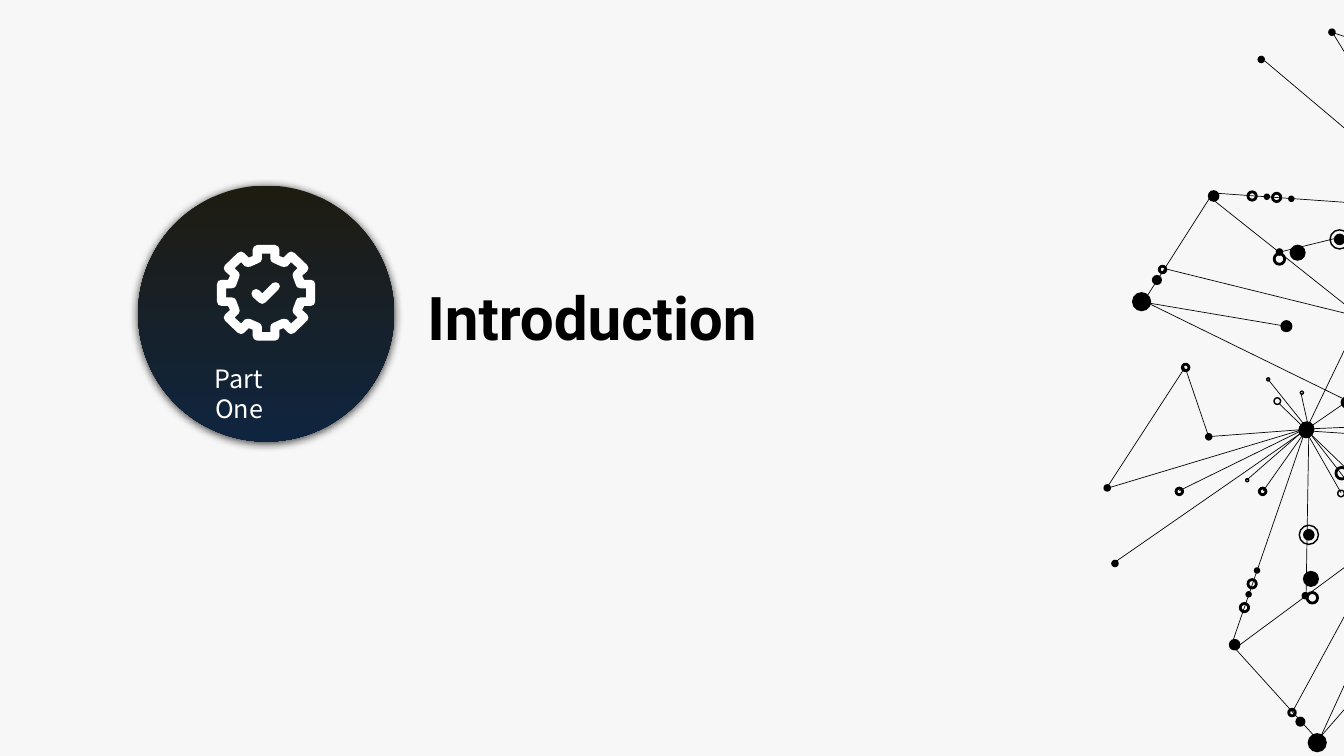
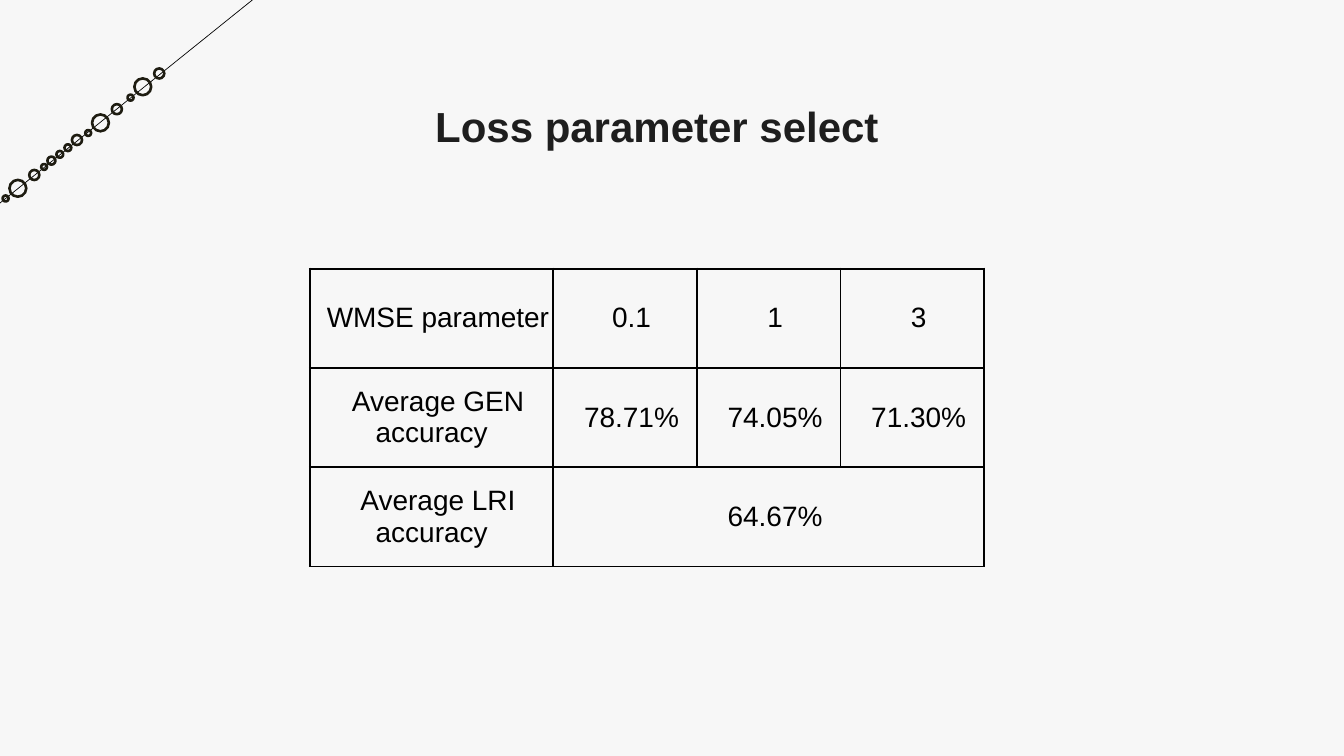
from lxml import etree
from pptx import Presentation
from pptx.dml.color import RGBColor
from pptx.enum.shapes import MSO_CONNECTOR as Connector, MSO_SHAPE as Shape
from pptx.enum.text import MSO_ANCHOR as Anchor, MSO_AUTO_SIZE as AutoSize, PP_ALIGN as Align
from pptx.oxml.ns import qn
from pptx.util import Pt

WIDTH, HEIGHT = 1920.24, 1080
BACKDROP, BLACK, WHITE = "F7F7F7", "000000", "FFFFFF"
INK, NAVY, TITLE = "1E1C11", "0F253F", "1E1E1E"

EDGES = [
    (209, 923, 424, 764), (313, 621, 424, 764), (164, 624, 310, 613),
    (245, 701, 303, 619), (36, 801, 310, 611), (125, 701, 300, 615),
    (17, 699, 310, 611), (306, 854, 310, 616), (397, 609, 303, 613),
    (201, 917, 307, 609), (168, 627, 134, 527), (133, 525, 20, 699),
    (320, 1054, 198, 919), (287, 1016, 421, 770), (308, 603, 299, 563),
    (303, 606, 251, 541), (408, 876, 323, 1061), (532, 817, 315, 1066),
    (448, 516, 313, 609), (510, 629, 315, 616), (221, 686, 298, 619),
    (356, 704, 303, 611), (478, 780, 268, 577), (174, 286, 383, 452),
    (383, 454, 305, 616), (247, 87, 502, 302), (341, 42, 501, 302),
    (265, 361, 497, 304), (177, 276, 503, 299), (539, 109, 342, 46),
    (77, 426, 174, 274), (105, 384, 376, 451), (271, 465, 70, 431),
    (360, 570, 64, 425),
]

DOTS = {
    9.2: [(224, 849), (236, 815), (250, 281), (285, 284)],
    10.8: [(167, 624), (33, 805), (22, 697), (305, 851), (242, 85), (343, 46), (268, 360)],
    14.4: [(298, 1031), (93, 400)],
    16.6: [(204, 921), (174, 280), (310, 764), (354, 342)],
    17.3: [(364, 575), (278, 466)],
    22.3: [(307, 613), (306, 615)],
    23: [(313, 827), (294, 361)],
    27.4: [(322, 1061), (71, 431)],
}

RINGS = {
    (4.3, 2): [(300, 561), (252, 542), (222, 686)],
    (9.4, 2): [(356, 705), (265, 573)],
    (27.4, 2): [(310, 764), (354, 342)],
    (9.4, 4): [(286, 1018), (125, 702), (244, 702), (134, 525), (101, 385)],
    (12, 4): [(218, 868), (229, 834), (229, 280), (264, 282)],
    (15.1, 4): [(315, 854), (268, 370)],
    (16.6, 4): [(357, 676)],
}

BEADS = [
    (227.5, 105, 14.4), (204, 124, 24), (186.5, 139.5, 8.6), (167, 156, 14.4),
    (143.5, 175.5, 24), (126, 190, 8.4), (110, 200, 14.4), (97, 211, 9.7),
    (85.5, 220.5, 9.7), (73.5, 229.5, 11.5), (63, 238.5, 8.3), (49, 250, 14.4),
    (25.5, 269, 24), (8, 283.5, 8.6),
]

GEAR_RIM = [
    (12.6, -68.4), (17.3, -66.2), (19.1, -61.9), (19.1, -52.6), (24.8, -50.4),
    (31.3, -56.9), (35.6, -59), (40.7, -56.9), (58.7, -39.6), (60.5, -35.3),
    (58.7, -31), (51.5, -24.5), (54.4, -18.7), (63.7, -18.7), (68.4, -16.9),
    (70.2, -12.2),
]
GEAR_HOLE = [
    (6.1, -56.2), (6.1, -48.2), (7.6, -44.6), (11.2, -42.5), (22.7, -37.4),
    (26.6, -37.1), (30.6, -38.2), (35.6, -43.9), (45, -35.3), (39.2, -29.5),
    (37.8, -25.9), (38.5, -22.3), (42.8, -10.8), (44.6, -7.9), (49.3, -6.5),
    (57.2, -6.5),
]
CHECK_MARK = [
    (13.3, -15.1), (17.6, -13.7), (19.8, -9.4), (17.6, -5), (-1.1, 13.7),
    (-5.4, 15.8), (-10.4, 13.7), (-19.1, 5.8), (-20.9, 1.1), (-19.1, -3.6),
    (-14.4, -5.4), (-9.7, -3.6), (-5.4, 0.7), (9, -13.7),
]

LOSS_ROWS = [
    ["WMSE parameter", "0.1", "1", "3"],
    ["Average GEN accuracy", "78.71%", "74.05%", "71.30%"],
    ["Average LRI accuracy", "64.67%"],
]


def color(value):
    return RGBColor.from_string(value)


def set_values(target, values):
    for name, value in values.items():
        setattr(target, name, value)


def set_font(paragraph, face, size, fill, bold=False):
    set_values(paragraph.font, {"name": face, "size": Pt(size), "bold": bold})
    paragraph.font.color.rgb = color(fill)


def paint(fill, value):
    fill.solid()
    fill.fore_color.rgb = color(value)


def add_circle(shapes, x, y, diameter, fill=None, line=None, weight=0):
    corner = (Pt(x - diameter / 2), Pt(y - diameter / 2))
    circle = shapes.add_shape(Shape.OVAL, *corner, Pt(diameter), Pt(diameter))
    circle.shadow.inherit = False
    if fill:
        paint(circle.fill, fill)
    else:
        circle.fill.background()
    if line:
        paint(circle.line.fill, line)
        circle.line.width = Pt(weight)
    else:
        circle.line.fill.background()
    return circle


def add_line(shapes, *ends):
    line = shapes.add_connector(Connector.STRAIGHT, *map(Pt, ends))
    paint(line.line.fill, BLACK)
    line.line.width = Pt(1)
    etree.SubElement(line._element.spPr, qn("a:effectLst"))


def add_text(slide, box, text, font, frame=None, paragraph_format=None, inset=3.6):
    text_box = slide.shapes.add_textbox(*map(Pt, box))
    text_frame = text_box.text_frame
    sides = ("margin_left", "margin_top", "margin_right", "margin_bottom")
    set_values(text_frame, dict.fromkeys(sides, Pt(inset)))
    set_values(text_frame, {"word_wrap": False, "auto_size": AutoSize.SHAPE_TO_FIT_TEXT})
    set_values(text_frame, frame or {})
    paragraph = text_frame.paragraphs[0]
    paragraph.text = text
    set_values(paragraph, paragraph_format or {})
    set_font(paragraph, *font)


def add_network(slide, left, top):
    for x1, y1, x2, y2 in EDGES:
        add_line(slide.shapes, left + x1, top + y1, left + x2, top + y2)
    for diameter, centers in DOTS.items():
        for x, y in centers:
            add_circle(slide.shapes, left + x, top + y, diameter, fill=BLACK)
    for (diameter, weight), centers in RINGS.items():
        for x, y in centers:
            add_circle(slide.shapes, left + x, top + y, diameter, line=BLACK, weight=weight)


def mirror_quarter(quarter):
    right = quarter + [(x, -y) for x, y in reversed(quarter)]
    return right + [(-x, y) for x, y in reversed(right)]


def add_gear(slide, x, y):
    contours = [
        [(Pt(x + dx), Pt(y + dy)) for dx, dy in contour]
        for contour in (mirror_quarter(GEAR_RIM), mirror_quarter(GEAR_HOLE), CHECK_MARK)
    ]
    builder = slide.shapes.build_freeform(*contours[0][0])
    for number, (start, *rest) in enumerate(contours):
        if number:
            builder.move_to(*start)
        builder.add_line_segments(rest, close=True)
    gear = builder.convert_to_shape()
    gear.shadow.inherit = False
    paint(gear.fill, WHITE)
    gear.line.fill.background()


def add_soft_shadow(shape):
    effects = shape._element.spPr.find(qn("a:effectLst"))
    shadow = etree.SubElement(
        effects, qn("a:outerShdw"), blurRad=str(Pt(13)), dist=str(Pt(2)), dir="5400000"
    )
    shade = etree.SubElement(shadow, qn("a:srgbClr"), val=BLACK)
    etree.SubElement(shade, qn("a:alpha"), val="75000")


def add_part_badge(slide, left, top, diameter):
    center = left + diameter / 2
    badge = add_circle(slide.shapes, center, top + diameter / 2, diameter, fill=INK)
    badge.fill.gradient()
    badge.fill.gradient_angle = 270
    for stop, value, position in zip(badge.fill.gradient_stops, (INK, NAVY), (0, 1)):
        stop.color.rgb = color(value)
        stop.position = position
    add_soft_shadow(badge)
    label_frame = {
        "word_wrap": True, "auto_size": AutoSize.NONE,
        "margin_left": Pt(0), "margin_right": Pt(78),
    }
    add_text(
        slide, (left + 107.3, top + 249.8, 151.9, 50.4), "Part One",
        ("Noto Sans CJK SC", 36, WHITE), label_frame, {"alignment": Align.CENTER},
    )
    add_gear(slide, center, top + 153.4)


def build_section_slide(slide):
    add_network(slide, 1560, 0)
    add_part_badge(slide, 197.3, 265, 365.8)
    add_text(
        slide, (606.2, 344.9, 510.5, 110.9), "Introduction", ("Roboto", 86, BLACK, True),
        {"vertical_anchor": Anchor.MIDDLE}, {"line_spacing": 2.0}, 4.3,
    )


def add_bead_string(slide, left, top):
    shapes = slide.shapes.add_group_shape().shapes
    add_line(shapes, left - 415.4, top + 624.2, left + 531.4, top - 137.5)
    for x, y, diameter in BEADS:
        add_circle(shapes, left + x, top + y, diameter, line=INK, weight=3.75)


def add_borders(cell):
    properties = cell._tc.get_or_add_tcPr()
    for number, side in enumerate(("lnL", "lnR", "lnT", "lnB")):
        border = etree.Element(qn(f"a:{side}"), w=str(Pt(3)))
        fill = etree.SubElement(border, qn("a:solidFill"))
        etree.SubElement(fill, qn("a:srgbClr"), val=BLACK)
        properties.insert(number, border)


def add_loss_table(slide, left, top, width, height):
    rows, columns = len(LOSS_ROWS), len(LOSS_ROWS[0])
    frame = slide.shapes.add_table(rows, columns, *map(Pt, (left, top, width, height)))
    table = frame.table
    set_values(table, {"first_row": False, "horz_banding": False})
    label_width = 347.8
    for number, column in enumerate(table.columns):
        column.width = Pt((width - label_width) / (columns - 1) if number else label_width)
    cell_format = {"vertical_anchor": Anchor.MIDDLE}
    for side in ("left", "right", "top", "bottom"):
        cell_format[f"margin_{side}"] = 0
    for cell in table.iter_cells():
        cell.fill.background()
        add_borders(cell)
        set_values(cell, cell_format)
    table.cell(rows - 1, 1).merge(table.cell(rows - 1, columns - 1))
    for row, values in enumerate(LOSS_ROWS):
        for column, value in enumerate(values):
            paragraph = table.cell(row, column).text_frame.paragraphs[0]
            paragraph.text = value
            paragraph.alignment = Align.CENTER
            indent = paragraph._p.get_or_add_pPr()
            indent.set("marL", "0")
            indent.set("indent", str(Pt(18)))
            set_font(paragraph, "Arial", 40, BLACK)


def build_table_slide(slide):
    add_text(
        slide, (617.8, 139.7, 641.5, 79.2), "Loss parameter select",
        ("Arial", 60, TITLE, True), paragraph_format={"alignment": Align.CENTER},
    )
    add_loss_table(slide, 442.8, 383.8, 963.4, 425.5)
    add_bead_string(slide, 0, 0)


def main():
    presentation = Presentation()
    set_values(presentation, {"slide_width": Pt(WIDTH), "slide_height": Pt(HEIGHT)})
    paint(presentation.slide_master.background.fill, BACKDROP)
    for build in (build_section_slide, build_table_slide):
        build(presentation.slides.add_slide(presentation.slide_layouts[6]))
    presentation.save("out.pptx")


if __name__ == "__main__":
    main()
